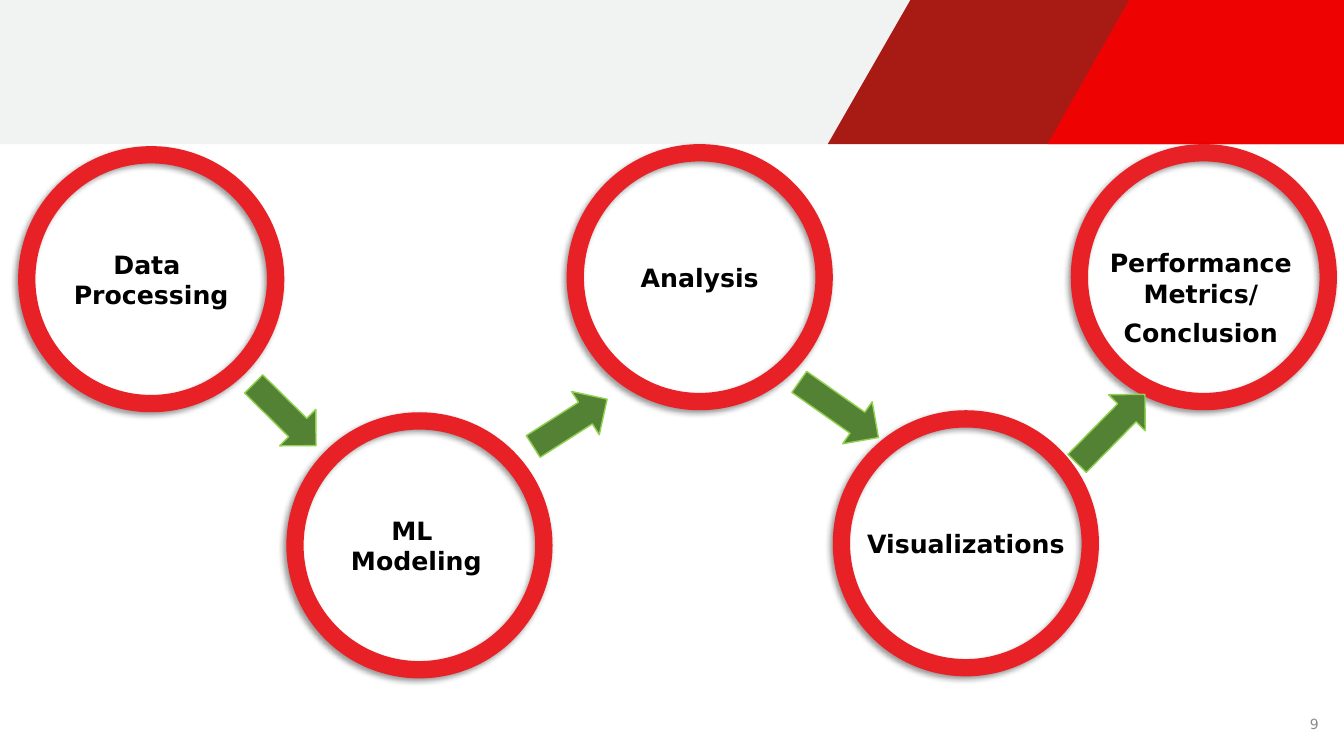
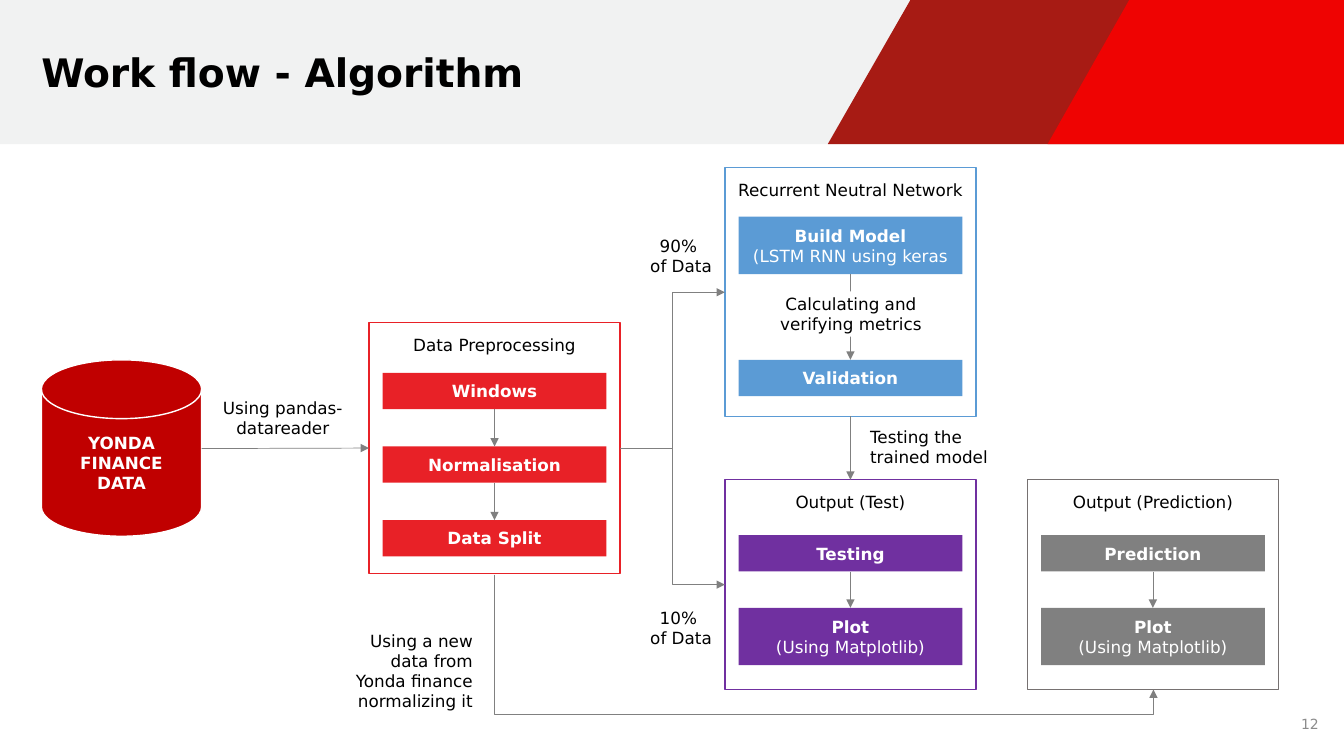
from lxml import etree
from pptx import Presentation
from pptx import util as u
from pptx.dml.color import RGBColor
from pptx.enum import shapes as sh, text as tx
from pptx.oxml import ns

WHITE = RGBColor(0xFF, 0xFF, 0xFF)
BLACK = RGBColor(0x00, 0x00, 0x00)
PALE = RGBColor(0xF1, 0xF2, 0xF2)
BRICK = RGBColor(0xA7, 0x1B, 0x14)
BRIGHT = RGBColor(0xEF, 0x03, 0x02)
RED = RGBColor(0xE8, 0x21, 0x27)
CRIMSON = RGBColor(0xC0, 0x00, 0x00)
GREEN = RGBColor(0x54, 0x82, 0x35)
LIME = RGBColor(0x92, 0xD0, 0x50)
BLUE = RGBColor(0x5B, 0x9B, 0xD5)
PURPLE = RGBColor(0x70, 0x30, 0xA0)
SLATE = RGBColor(0x76, 0x71, 0x71)
GREY = RGBColor(0x80, 0x80, 0x80)
MUTED = RGBColor(0x8C, 0x8C, 0x8C)

FONT = "DejaVu Sans"
LEFT, MID, RIGHT = tx.PP_ALIGN.LEFT, tx.PP_ALIGN.CENTER, tx.PP_ALIGN.RIGHT
KIND = sh.MSO_SHAPE
TOP, WEST, BASE = 0, 1, 2  # connection sites of a rectangle

RING = 2.64
PANEL_W, STEP_W = 2.49, 2.22
HEIGHTS = {1: 0.36, 2: 0.57}  # step height by number of lines

# Label, ring left and top, shift of the label from the ring's centre
RINGS = [
    (["Data \vProcessing"], 0.18, 1.45, 0, 0),
    (["ML \vModeling"], 2.84, 4.09, -0.03, 0),
    (["Analysis"], 5.62, 1.43, 0, 0),
    (["Visualizations"], 8.26, 4.07, 0, 0),
    (["Performance Metrics/", "Conclusion"], 10.62, 1.43, -0.03, 0.2),
]
# Left, top, width, turn
TURNS = [
    (2.39, 3.86, 0.87, 44.7),
    (5.22, 3.94, 0.87, 327.4),
    (7.84, 3.81, 0.96, 35.1),
    (10.54, 4, 0.96, 314.5),
]
PLOT = ["Plot", "(Using Matplotlib)"]
# Title, left, top, height, line colour, step colour, steps (top, lines)
PANELS = [
    ("Data Preprocessing", 3.66, 3.2, 2.49, RED, RED,
     [(3.7, ["Windows"]), (4.43, ["Normalisation"]), (5.16, ["Data Split"])]),
    ("Recurrent Neutral Network", 7.19, 1.66, 2.47, BLUE, BLUE,
     [(2.15, ["Build Model", "(LSTM RNN using keras"]), (3.57, ["Validation"])]),
    ("Output (Test)", 7.19, 4.76, 2.08, PURPLE, PURPLE,
     [(5.31, ["Testing"]), (6.03, PLOT)]),
    ("Output (Prediction)", 10.19, 4.76, 2.08, SLATE, GREY,
     [(5.31, ["Prediction"]), (6.03, PLOT)]),
]
# Text, left, top, width, height, alignment
NOTES = [
    ("Using pandas-datareader", 2.1, 3.86, 1.41, 0.57, MID),
    ("Testing the trained model", 8.55, 4.15, 1.45, 0.57, LEFT),
    ("90% \vof Data", 6.28, 2.25, 0.95, 0.57, MID),
    ("10% \vof Data", 6.28, 5.94, 0.95, 0.57, MID),
    ("Using a new data from Yonda finance normalizing it",
     3.25, 6.17, 1.52, 0.97, RIGHT),
]


def inch(*vals):
    return [u.Inches(v) for v in vals]


def write(shape, lines, size=12, color=BLACK, bold=(False,), align=MID,
          inset=0.08, gap=0):
    """Fill a shape with paragraphs; the last value of bold repeats."""
    frame = shape.text_frame
    form = dict(word_wrap=True, vertical_anchor=tx.MSO_ANCHOR.MIDDLE)
    form.update((f"margin_{side}", u.Inches(inset))
                for side in ("left", "right", "top", "bottom"))
    for key, val in form.items():
        setattr(frame, key, val)
    for i, line in enumerate(lines):
        para = frame.add_paragraph() if i else frame.paragraphs[0]
        para.text, para.alignment = line, align
        if i:
            para.space_before = u.Pt(gap)
        look = dict(name=FONT, size=u.Pt(size), bold=bold[min(i, len(bold) - 1)])
        for run in para.runs:
            for key, val in look.items():
                setattr(run.font, key, val)
            run.font.color.rgb = color


def label(slide, box, lines, **look):
    area = slide.shapes.add_textbox(*inch(*box))
    write(area, lines, **look)
    return area


def paint(shape, fill, line=None):
    shape.shadow.inherit = False
    shape.fill.solid()
    shape.fill.fore_color.rgb = fill
    if line is None:
        shape.line.fill.background()
    else:
        shape.line.color.rgb = line
        shape.line.width = u.Pt(1)


def block(slide, kind, box, fill, line=None):
    shape = slide.shapes.add_shape(kind, *inch(*box))
    paint(shape, fill, line)
    return shape


def slant(slide, top, base, fill):
    """Header band with a slanted left edge, open to the right border."""
    pts = [inch(*p) for p in ((top, 0), (base, 1.43), (13.33, 1.43), (13.33, 0))]
    draft = slide.shapes.build_freeform(*pts[0], scale=1.0)
    draft.add_line_segments(pts[1:], close=True)
    paint(draft.convert_to_shape(), fill)


def base(deck, num, title=None):
    """Blank slide with the shared header, title and page number."""
    slide = deck.slides.add_slide(deck.slide_layouts[6])
    block(slide, KIND.RECTANGLE, (0, 0, 13.33, 1.43), PALE)
    slant(slide, 9.03, 8.21, BRICK)
    slant(slide, 11.2, 10.39, BRIGHT)
    if title:
        label(slide, (0.41, 0.48, 7.64, 0.47), [title], size=28, bold=(True,),
              align=LEFT, inset=0)
    label(slide, (10.08, 7.08, 3, 0.2), [str(num)], size=10, color=MUTED,
          align=RIGHT, inset=0)
    return slide


def ring(slide, lines, x, y, dx, dy):
    donut = block(slide, KIND.DONUT, (x, y, RING, RING), RED)
    donut.adjustments[0] = 0.065
    # Soft shadow to the lower left
    glow = donut.element.spPr.find(ns.qn("a:effectLst"))
    cast = etree.SubElement(glow, ns.qn("a:outerShdw"), blurRad=str(u.Pt(4)),
                            dist=str(u.Pt(3)), dir="8100000", algn="tr",
                            rotWithShape="0")
    tone = etree.SubElement(cast, ns.qn("a:srgbClr"), val=str(BLACK))
    etree.SubElement(tone, ns.qn("a:alpha"), val="40000")
    wide, high = 2.2, 1.01
    label(slide, (x + (RING - wide) / 2 + dx, y + (RING - high) / 2 + dy, wide, high),
          lines, size=18, bold=(True,), inset=0, gap=6.3)


def arrow(slide, start, end, kind=sh.MSO_CONNECTOR.STRAIGHT):
    line = slide.shapes.add_connector(kind, *inch(*start, *end))
    line.line.color.rgb = GREY
    line.line.width = u.Pt(0.5)
    etree.SubElement(line.line._get_or_add_ln(), ns.qn("a:tailEnd"), type="triangle")
    etree.SubElement(line.element.spPr, ns.qn("a:effectLst"))
    return line


def join(slide, head, tail):
    """Arrow from the bottom of one rectangle to the top of the next."""
    line = arrow(slide, (0, 0), (1, 1))
    line.begin_connect(head, BASE)
    line.end_connect(tail, TOP)


def panel(slide, title, x, y, high, edge, fill, steps):
    frame = block(slide, KIND.RECTANGLE, (x, y, PANEL_W, high), WHITE, edge)
    label(slide, (x, y + 0.04, PANEL_W, 0.36), [title])
    last = None
    for top, lines in steps:
        box = (x + (PANEL_W - STEP_W) / 2, top, STEP_W, HEIGHTS[len(lines)])
        step = block(slide, KIND.RECTANGLE, box, fill)
        write(step, lines, color=WHITE, bold=(True, False))
        if last:
            join(slide, last, step)
        last = step
    return frame


def stages(deck):
    slide = base(deck, 9)
    for item in RINGS:
        ring(slide, *item)
    for x, y, wide, turn in TURNS:
        mark = block(slide, KIND.RIGHT_ARROW, (x, y, wide, 0.51), GREEN, LIME)
        mark.rotation = turn


def flow(deck):
    slide = base(deck, 12, "Work flow - Algorithm")
    # Data source
    disk = block(slide, KIND.FLOWCHART_MAGNETIC_DISK, (0.41, 3.57, 1.59, 1.75),
                 CRIMSON, WHITE)
    write(disk, ["YONDA FINANCE", "DATA"], color=WHITE, bold=(True,))
    # Panels and the arrows between them
    prep, model, test, _ = [panel(slide, *item) for item in PANELS]
    arrow(slide, (2, 4.45), (3.66, 4.45)).end_connect(prep, WEST)
    join(slide, model, test)
    for y in (2.9, 5.8):
        arrow(slide, (6.15, 4.45), (7.19, y), sh.MSO_CONNECTOR.ELBOW)
    # Return path under the panels, turned to leave and enter vertically
    loop = arrow(slide, (7.6, 3), (8.74, 9.54), sh.MSO_CONNECTOR.ELBOW)
    form = loop.element.spPr.find(ns.qn("a:xfrm"))
    form.set("rot", "16200000")
    form.set("flipH", "1")
    bend = loop.element.spPr.find(ns.qn("a:prstGeom")).find(ns.qn("a:avLst"))
    etree.SubElement(bend, ns.qn("a:gd"), name="adj1", fmla="val 121900")
    # Notes beside and on the arrows
    calc = block(slide, KIND.RECTANGLE, (7.48, 2.89, 1.92, 0.45), WHITE)
    write(calc, ["Calculating and verifying metrics"])
    for note, x, y, wide, high, align in NOTES:
        label(slide, (x, y, wide, high), [note], align=align)


def main():
    deck = Presentation()
    deck.slide_width, deck.slide_height = inch(13.33, 7.5)
    stages(deck)
    flow(deck)
    deck.save("out.pptx")


if __name__ == "__main__":
    main()
